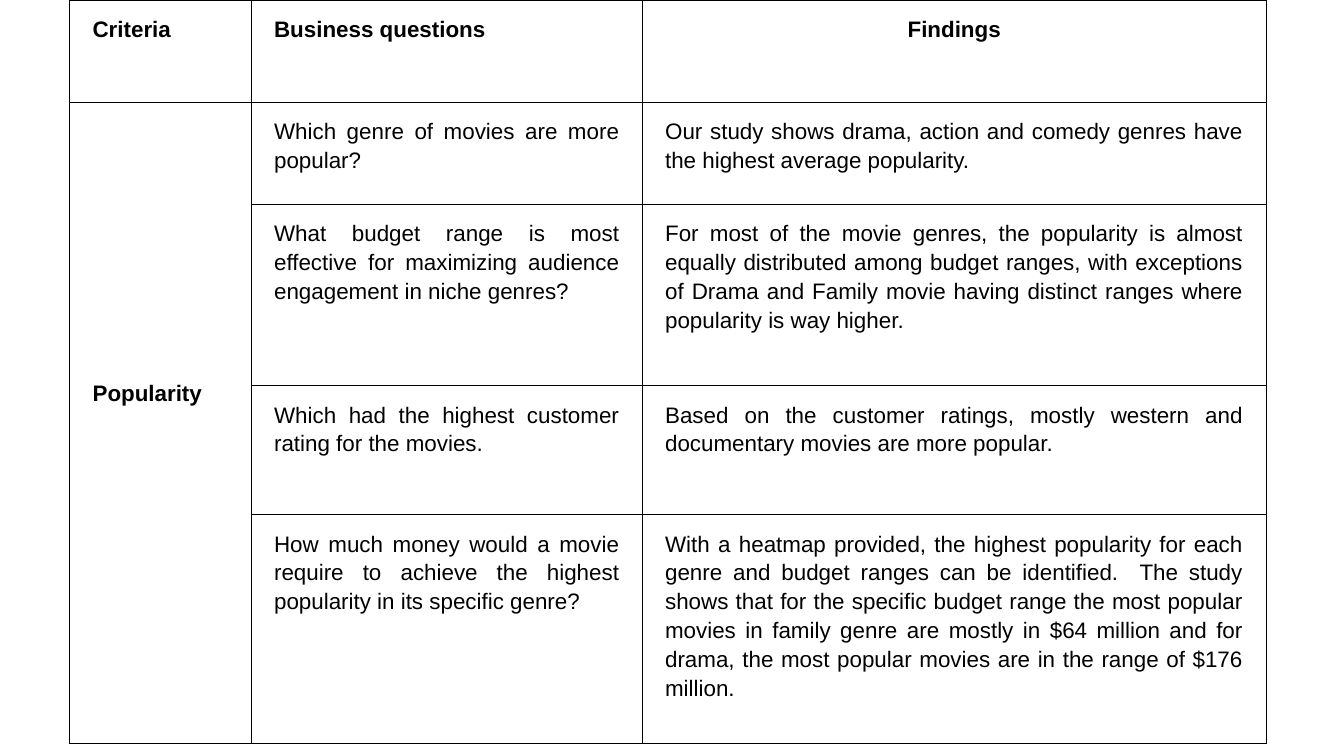
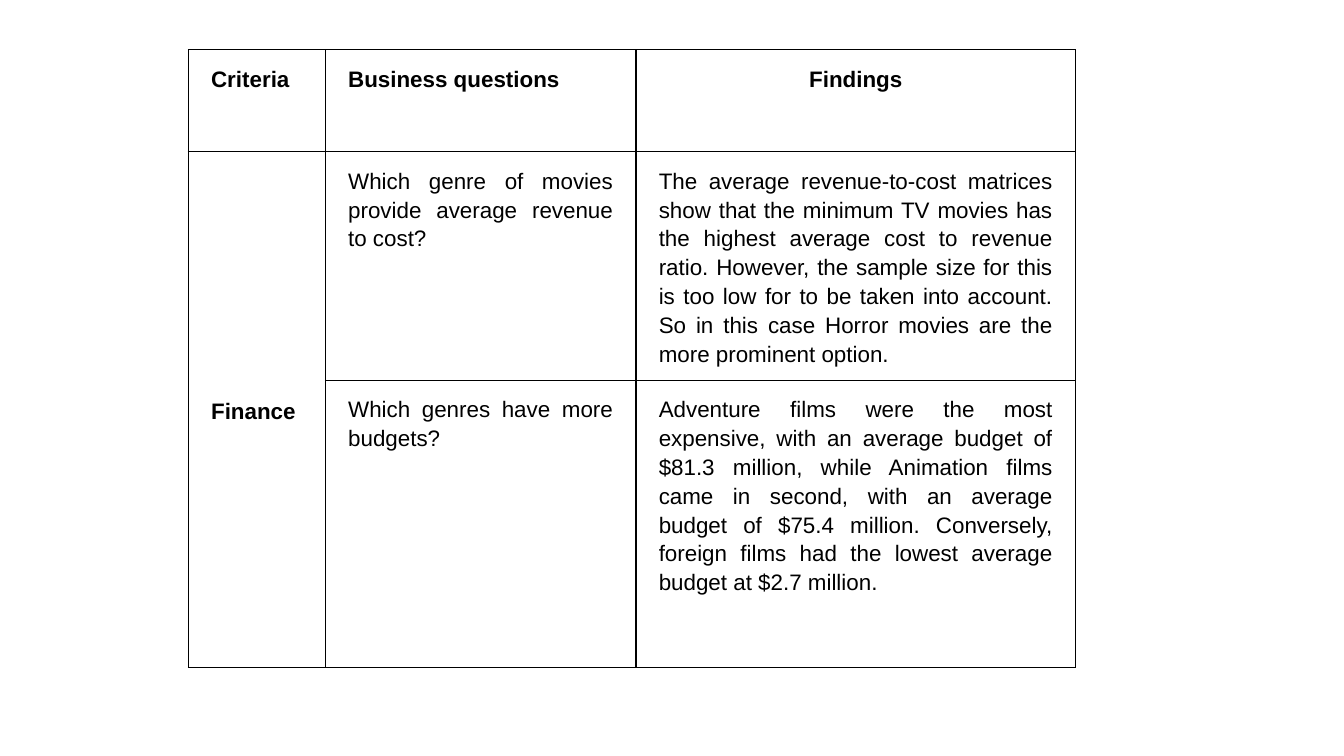
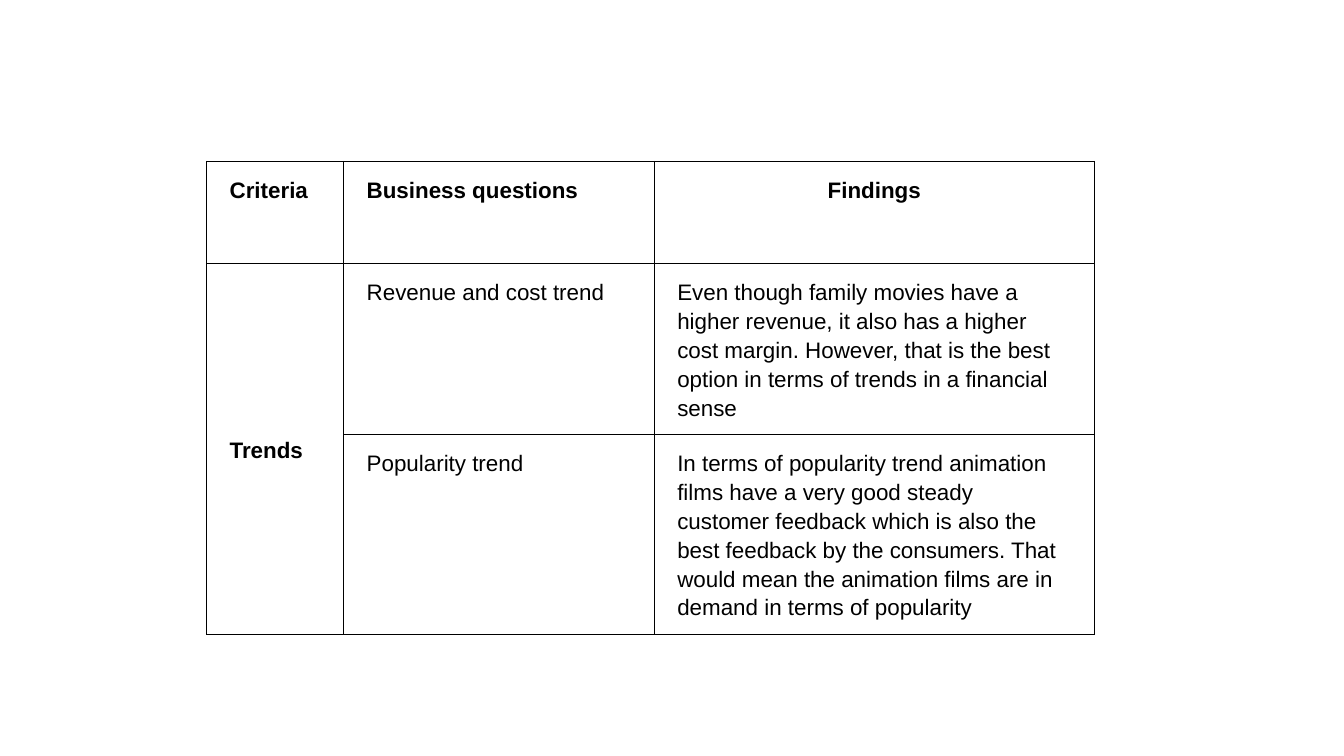
from lxml.etree import SubElement
from pptx import Presentation
from pptx.dml.color import RGBColor
from pptx.enum.text import MSO_ANCHOR, PP_ALIGN
from pptx.oxml.ns import qn
from pptx.util import Cm, Pt

# Shared look
FONT = "Arial"
INK = "000000"
MARGIN = 0.25
INDENT = 0.18
BORDER = Pt(0.67)
HEADER_HEIGHT = 1.93
HEADINGS = ("Criteria", "Business questions", "Findings")
HEADING_ALIGNS = (PP_ALIGN.LEFT, PP_ALIGN.LEFT, PP_ALIGN.CENTER)
WIDE_COLUMNS = (3.43, 7.39, 11.79)
NARROW_COLUMNS = (2.59, 5.87, 8.31)

POPULARITY = [
    ("Which genre of movies are more popular?",
     "Our study shows drama, action and comedy genres have the highest average popularity."),
    ("What budget range is most effective for maximizing audience engagement in niche genres?",
     "For most of the movie genres, the popularity is almost equally distributed among budget "
     "ranges, with exceptions of Drama and Family movie having distinct ranges where popularity "
     "is way higher."),
    ("Which had the highest customer rating for the movies.",
     "Based on the customer ratings, mostly western and documentary movies are more popular."),
    ("How much money would a movie require to achieve the highest popularity in its specific genre?",
     "With a heatmap provided, the highest popularity for each genre and budget ranges can be "
     "identified.  The study shows that for the specific budget range the most popular movies in "
     "family genre are mostly in $64 million and for drama, the most popular movies are in the "
     "range of $176 million."),
]
FINANCE = [
    ("Which genre of movies provide average revenue to cost?",
     "The average revenue-to-cost matrices show that the minimum TV movies has the highest "
     "average cost to revenue ratio. However, the sample size for this is too low for to be "
     "taken into account. So in this case Horror movies are the more prominent option."),
    ("Which genres have more budgets?",
     "Adventure films were the most expensive, with an average budget of $81.3 million, while "
     "Animation films came in second, with an average budget of $75.4 million. Conversely, "
     "foreign films had the lowest average budget at $2.7 million."),
]
TRENDS = [
    ("Revenue and cost trend",
     "Even though family movies have a higher revenue, it also has a higher cost margin. "
     "However, that is the best option in terms of trends in a financial sense"),
    ("Popularity trend",
     "In terms of popularity trend animation films have a very good steady customer feedback "
     "which is also the best feedback by the consumers. That would mean the animation films "
     "are in demand in terms of popularity"),
]


def color(value):
    return RGBColor.from_string(value)


def write(cell, text, bold=False, align=PP_ALIGN.LEFT, anchor=MSO_ANCHOR.TOP, bottom=MARGIN):
    """Put one formatted paragraph in a table cell."""
    cell.margin_left = cell.margin_right = cell.margin_top = Cm(MARGIN)
    cell.margin_bottom = Cm(bottom)
    cell.vertical_anchor = anchor
    para = cell.text_frame.paragraphs[0]
    para.alignment = align
    para.line_spacing = 1.15
    properties = para._p.get_or_add_pPr()
    for side in ("marL", "marR"):
        properties.set(side, str(Cm(INDENT)))
    properties.set("indent", "0")
    span = para.add_run()
    span.text = text
    span.font.name = FONT
    span.font.size = Pt(12)
    span.font.bold = bold
    span.font.color.rgb = color(INK)


def outline(cell):
    """Give a cell four thin borders and no fill."""
    properties = cell._tc.get_or_add_tcPr()
    for side in ("a:lnL", "a:lnR", "a:lnT", "a:lnB"):
        line = SubElement(properties, qn(side), w=str(BORDER))
        fill = SubElement(line, qn("a:solidFill"))
        SubElement(fill, qn("a:srgbClr"), val=INK)
    cell.fill.background()


def add_grid(page, left, top, widths, heights):
    frame = page.shapes.add_table(len(heights), len(widths), Cm(left), Cm(top),
                                  Cm(sum(widths)), Cm(sum(heights)))
    grid = frame.table
    grid.first_row = grid.horz_banding = False
    for column, width in zip(grid.columns, widths):
        column.width = Cm(width)
    for row, height in zip(grid.rows, heights):
        row.height = Cm(height)
    for cell in grid.iter_cells():
        outline(cell)
    return grid


def fill_header(grid):
    for column, (heading, align) in enumerate(zip(HEADINGS, HEADING_ALIGNS)):
        write(grid.cell(0, column), heading, bold=True, align=align)


def fill_findings(grid, first, criterion, findings, align, bottom=MARGIN):
    """Write the merged criterion cell and its question and finding rows."""
    label = grid.cell(first, 0)
    label.merge(grid.cell(first + len(findings) - 1, 0))
    write(label, criterion, bold=True, anchor=MSO_ANCHOR.MIDDLE, bottom=bottom)
    for row, texts in enumerate(findings, first):
        for column, text in enumerate(texts, 1):
            write(grid.cell(row, column), text, align=align)


def add_joined_page(page, left, top, heights, criterion, findings):
    """One table holding both header and findings."""
    grid = add_grid(page, left, top, WIDE_COLUMNS, (HEADER_HEIGHT, *heights))
    fill_header(grid)
    fill_findings(grid, 1, criterion, findings, PP_ALIGN.JUSTIFY, bottom=1.42)


def add_stacked_page(page, left, top, heights, criterion, findings, align):
    """A findings table with a separate header table directly above it."""
    body = add_grid(page, left, top + HEADER_HEIGHT, NARROW_COLUMNS, heights)
    fill_findings(body, 0, criterion, findings, align)
    fill_header(add_grid(page, left, top, NARROW_COLUMNS, (HEADER_HEIGHT,)))


def main():
    deck = Presentation()
    deck.slide_width, deck.slide_height = Cm(25.4), Cm(14.29)
    blank = deck.slide_layouts[6]
    pages = [deck.slides.add_slide(blank) for _ in range(3)]
    add_joined_page(pages[0], 1.32, 0, (1.93, 3.43, 2.44, 4.33), "Popularity", POPULARITY)
    add_stacked_page(pages[1], 3.56, 0.94, (4.32, 5.42), "Finance", FINANCE, PP_ALIGN.JUSTIFY)
    add_stacked_page(pages[2], 3.91, 3.05, (3.23, 3.78), "Trends", TRENDS, PP_ALIGN.LEFT)
    deck.save("out.pptx")


if __name__ == "__main__":
    main()
